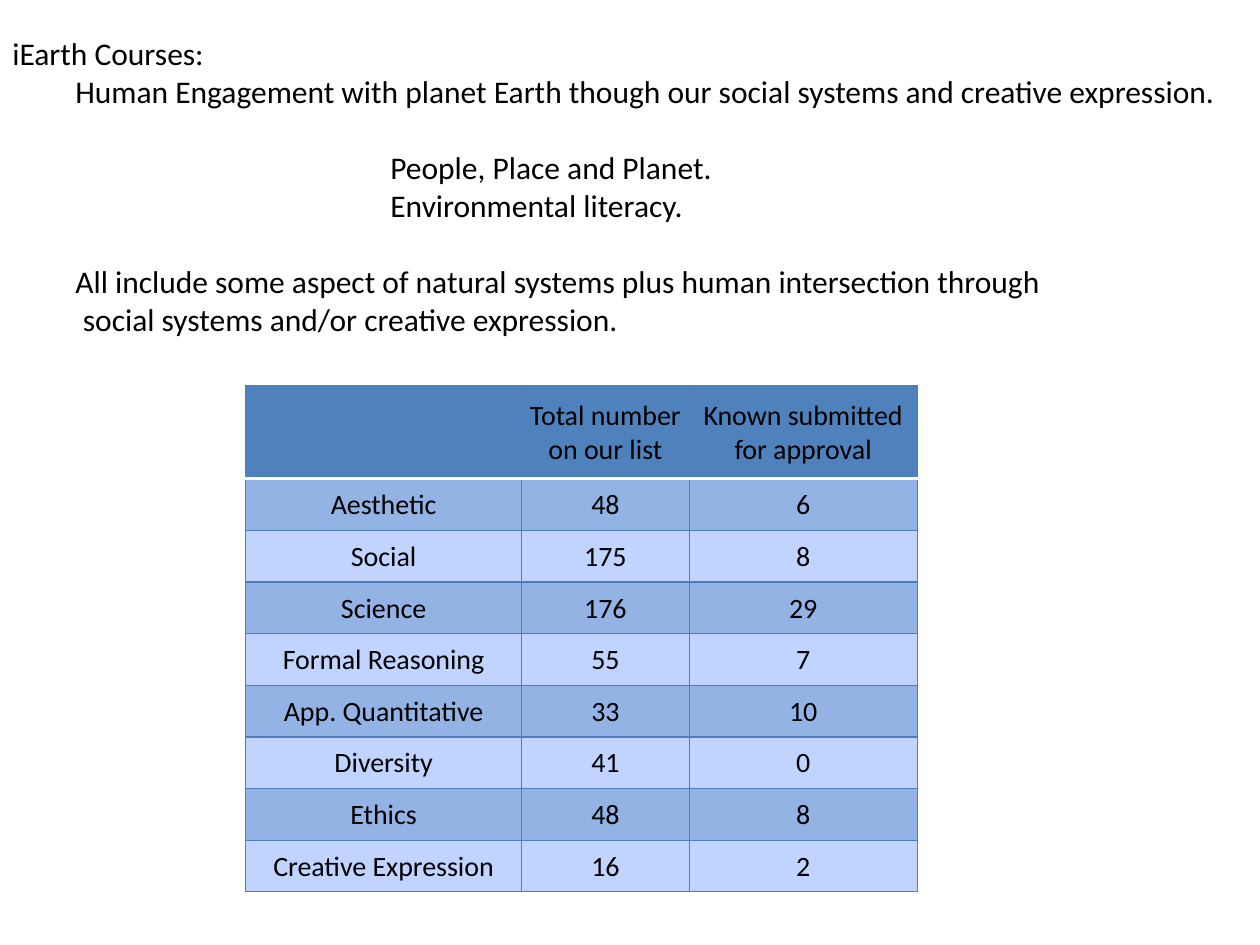
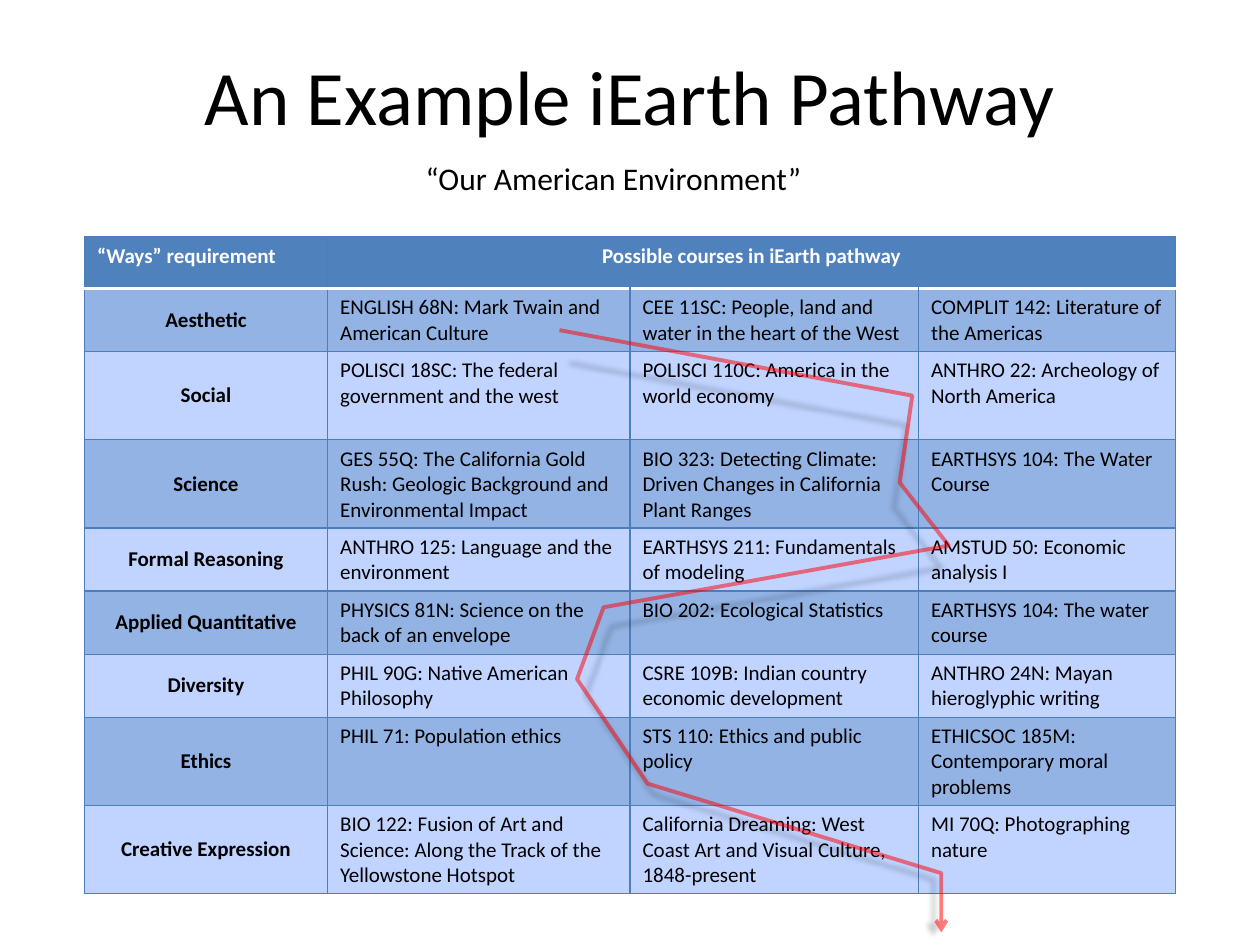
import pptx
import pptx.dml.color
import pptx.enum.text
import pptx.oxml
import pptx.oxml.ns
import pptx.util
from pptx.util import Inches

ALIGN = pptx.enum.text.PP_ALIGN
ANCHOR = pptx.enum.text.MSO_ANCHOR

COLORS = {
    "text": "000000",
    "white": "FFFFFF",
    "header": "4F81BD",
    "band_dark": "93B3E5",
    "band_light": "C0D4FF",
    "border": "4B7EBC",
    "pathway": "FF0000",
}
FONT = "Calibri"

# Text, left indent in inches, space before in points
INTRO_LINES = [
    ("iEarth Courses:", 0, 0),
    ("Human Engagement with planet Earth though our social systems and creative expression.", 0.5, 0),
    ("People, Place and Planet.", 3, 22),
    ("Environmental literacy.", 3, 0),
    ("All include some aspect of natural systems plus human intersection through", 0.5, 22),
    ("social systems and/or creative expression.", 0.56, 0),
]

COURSE_COUNTS = [
    ("", "Total number on our list", "Known submitted for approval"),
    ("Aesthetic", "48", "6"),
    ("Social", "175", "8"),
    ("Science", "176", "29"),
    ("Formal Reasoning", "55", "7"),
    ("App. Quantitative", "33", "10"),
    ("Diversity", "41", "0"),
    ("Ethics", "48", "8"),
    ("Creative Expression", "16", "2"),
]

PATHWAY_COURSES = [
    ("“Ways” requirement", "Possible courses in iEarth pathway", "", ""),
    ("Aesthetic", "ENGLISH 68N: Mark Twain and American Culture",
     "CEE 11SC: People, land and water in the heart of the West",
     "COMPLIT 142: Literature of the Americas"),
    ("Social", "POLISCI 18SC: The federal government and the west",
     "POLISCI 110C: America in the world economy",
     "ANTHRO 22: Archeology of North America"),
    ("Science", "GES 55Q: The California Gold Rush: Geologic Background and Environmental Impact",
     "BIO 323: Detecting Climate: Driven Changes in California Plant Ranges",
     "EARTHSYS 104: The Water Course"),
    ("Formal Reasoning", "ANTHRO 125: Language and the environment",
     "EARTHSYS 211: Fundamentals of modeling", "AMSTUD 50: Economic analysis I"),
    ("Applied Quantitative", "PHYSICS 81N: Science on the back of an envelope",
     "BIO 202: Ecological Statistics", "EARTHSYS 104: The water course"),
    ("Diversity", "PHIL 90G: Native American Philosophy",
     "CSRE 109B: Indian country economic development",
     "ANTHRO 24N: Mayan hieroglyphic writing"),
    ("Ethics", "PHIL 71: Population ethics", "STS 110: Ethics and public policy",
     "ETHICSOC 185M: Contemporary moral problems"),
    ("Creative Expression",
     "BIO 122: Fusion of Art and Science: Along the Track of the Yellowstone Hotspot",
     "California Dreaming: West Coast Art and Visual Culture, 1848-present",
     "MI 70Q: Photographing nature"),
]

PATHWAY_POINTS = [(4.44, 2.62), (7.24, 3.14), (7.14, 3.83), (7.53, 4.33), (4.79, 4.82),
                  (4.58, 5.39), (5.14, 6.22), (7.47, 6.93), (7.47, 7.4)]


def color(name):
    return pptx.dml.color.RGBColor.from_string(COLORS[name])


def xml(markup):
    """Build one drawing element, adding the namespace to its first tag."""
    tag, rest = markup.split(" ", 1)
    return pptx.oxml.parse_xml(f"{tag} {pptx.oxml.ns.nsdecls('a')} {rest}")


class Deck:
    def __init__(self):
        self.presentation = pptx.Presentation()
        self.presentation.slide_width = Inches(10)
        self.presentation.slide_height = Inches(7.5)
        self.slide = None

    def new_slide(self, title=None):
        layout = self.presentation.slide_layouts[5 if title else 6]
        self.slide = self.presentation.slides.add_slide(layout)
        if title:
            shape = self.slide.shapes.title
            shape.left, shape.top = Inches(0.5), Inches(0.3)
            shape.width, shape.height = Inches(9), Inches(0.91)
            shape.text_frame.vertical_anchor = ANCHOR.MIDDLE
            self.styled_run(shape.text_frame.paragraphs[0], title, 44, align=ALIGN.CENTER)

    def styled_run(self, paragraph, text, size, color_name="text", bold=False, align=ALIGN.LEFT):
        paragraph.alignment = align
        run = paragraph.add_run()
        run.text = text
        run.font.name = FONT
        run.font.size = pptx.util.Pt(size)
        run.font.bold = bold
        run.font.color.rgb = color(color_name)

    def text_box(self, left, top, width, height, lines):
        box = self.slide.shapes.add_textbox(Inches(left), Inches(top), Inches(width), Inches(height))
        frame = box.text_frame
        frame.word_wrap = True
        for index, (text, indent, space) in enumerate(lines):
            paragraph = frame.add_paragraph() if index else frame.paragraphs[0]
            paragraph.space_before = pptx.util.Pt(space)
            paragraph._p.get_or_add_pPr().set("marL", str(Inches(indent)))
            self.styled_run(paragraph, text, 18)

    def set_borders(self, cell, row):
        """Thin blue lines, with a thick white one below the header row."""
        properties = cell._tc.get_or_add_tcPr()
        white_edge = {0: "lnB", 1: "lnT"}.get(row)
        for position, edge in enumerate(("lnL", "lnR", "lnT", "lnB")):
            name, points = ("white", 2) if edge == white_edge else ("border", 0.75)
            properties.insert(position, xml(
                f'<a:{edge} w="{pptx.util.Pt(points)}"><a:solidFill>'
                f'<a:srgbClr val="{COLORS[name]}"/></a:solidFill></a:{edge}>'))

    def table(self, left, top, widths, heights, rows, cell_style, tight=False):
        """cell_style(row, column) gives the text options and the vertical anchor."""
        frame = self.slide.shapes.add_table(
            len(rows), len(widths), Inches(left), Inches(top),
            Inches(sum(widths)), Inches(sum(heights)))
        table = frame.table
        table.horz_banding = False
        for column, width in enumerate(widths):
            table.columns[column].width = Inches(width)
        for row, (height, texts) in enumerate(zip(heights, rows)):
            table.rows[row].height = Inches(height)
            fill = "header" if row == 0 else ("band_light", "band_dark")[row % 2]
            for column, text in enumerate(texts):
                cell = table.cell(row, column)
                text_options, cell.vertical_anchor = cell_style(row, column)
                if tight:
                    cell.margin_left = cell.margin_right = cell.margin_top = Inches(0.01)
                    cell.margin_bottom = 0
                cell.fill.solid()
                cell.fill.fore_color.rgb = color(fill)
                self.set_borders(cell, row)
                if text:
                    self.styled_run(cell.text_frame.paragraphs[0], text, **text_options)
        return table

    def arrow_path(self, points):
        (start_x, start_y), *others = [(Inches(x), Inches(y)) for x, y in points]
        builder = self.slide.shapes.build_freeform(start_x, start_y)
        builder.add_line_segments(others, close=False)
        shape = builder.convert_to_shape()
        shape.fill.background()
        shape.line.width = pptx.util.Pt(2.25)
        shape.line.color.rgb = color("pathway")
        shape.shadow.inherit = False
        # Transparency, arrowhead and soft shadow
        properties = shape._element.spPr
        line = properties.find(pptx.oxml.ns.qn("a:ln"))
        line[0][0].append(xml('<a:alpha val="51000"/>'))
        line.append(xml('<a:tailEnd type="arrow"/>'))
        properties.find(pptx.oxml.ns.qn("a:effectLst")).append(xml(
            f'<a:outerShdw blurRad="{pptx.util.Pt(3.1)}" dist="{pptx.util.Pt(1.6)}" dir="5400000" '
            'sx="95000" sy="95000" algn="b" rotWithShape="0">'
            f'<a:srgbClr val="{COLORS["text"]}"><a:alpha val="39000"/></a:srgbClr></a:outerShdw>'))


def count_style(row, column):
    return dict(size=16, align=ALIGN.CENTER), ANCHOR.MIDDLE


def pathway_style(row, column):
    if row == 0:
        align = ALIGN.CENTER if column else ALIGN.LEFT
        return dict(size=12, color_name="white", bold=True, align=align), ANCHOR.TOP
    if column == 0:
        return dict(size=12, bold=True, align=ALIGN.CENTER), ANCHOR.MIDDLE
    return dict(size=12), ANCHOR.TOP


def main():
    deck = Deck()

    # Course overview
    deck.new_slide()
    deck.table(1.95, 3.06, [2.19, 1.33, 1.81], [0.74] + [0.41] * 8,
               COURSE_COUNTS, count_style, tight=True)
    deck.text_box(0, 0.22, 9.84, 2.52, INTRO_LINES)

    # Example pathway
    deck.new_slide("An Example iEarth Pathway")
    deck.text_box(3.28, 1.21, 3.22, 0.4, [("“Our American Environment”", 0, 0)])
    heights = [0.41, 0.5, 0.7, 0.7, 0.5, 0.5, 0.5, 0.7, 0.7]
    table = deck.table(0.67, 1.88, [1.93, 2.4, 2.29, 2.04], heights, PATHWAY_COURSES, pathway_style)
    table.cell(0, 1).merge(table.cell(0, 3))
    deck.arrow_path(PATHWAY_POINTS)

    deck.presentation.save("out.pptx")


if __name__ == "__main__":
    main()
